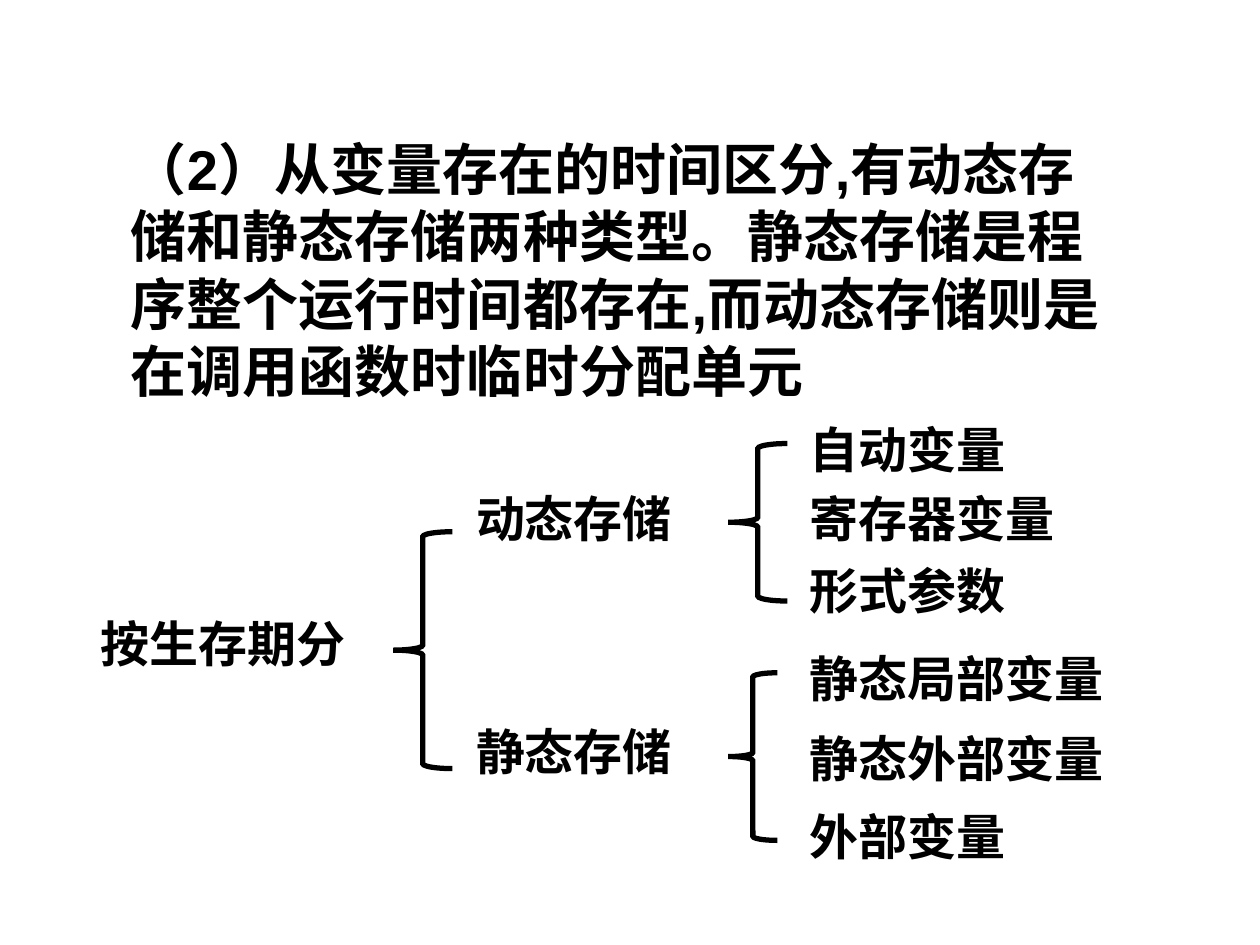
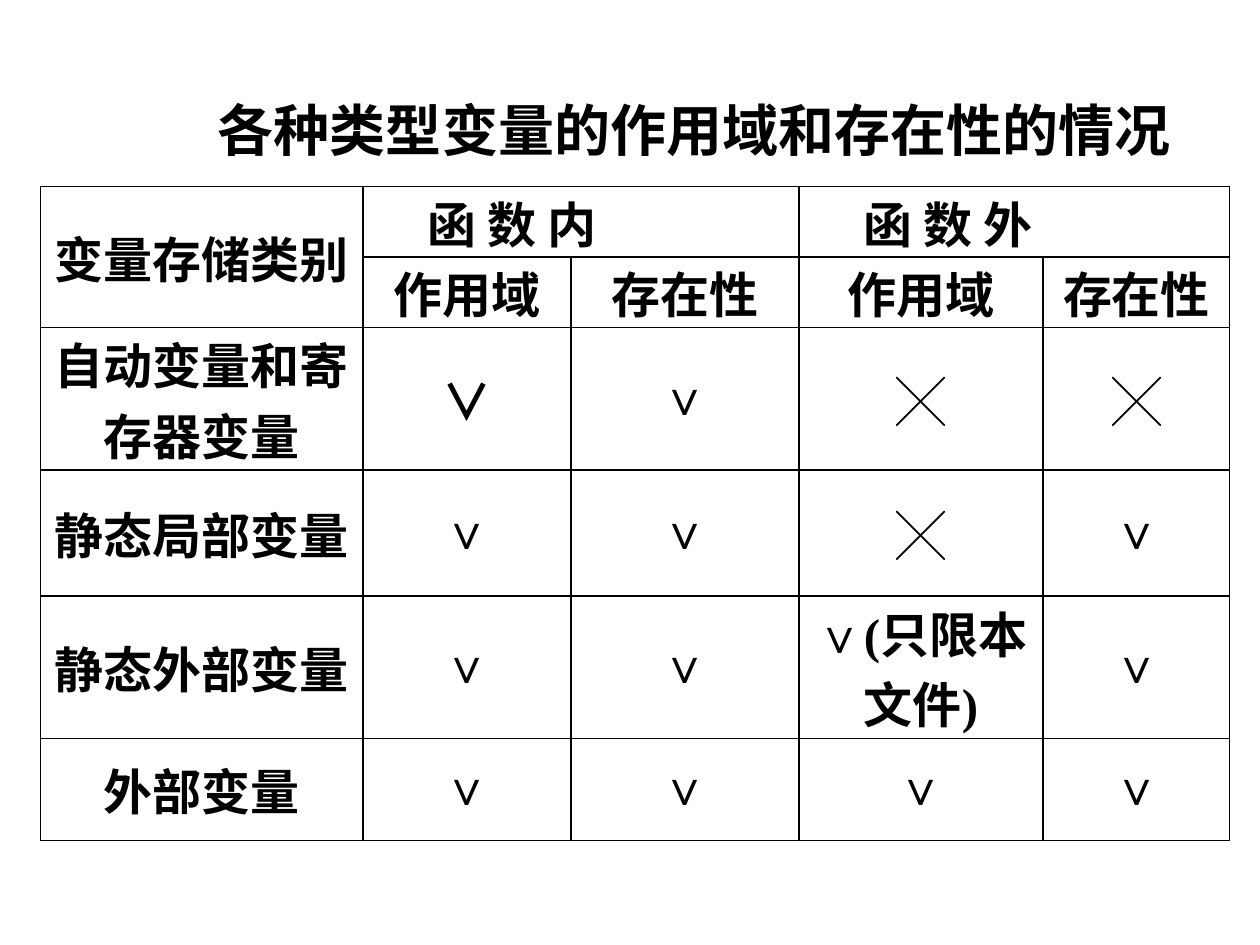
from lxml import etree
from pptx import Presentation
from pptx.dml.color import RGBColor
from pptx.enum.shapes import MSO_SHAPE
from pptx.enum.text import MSO_ANCHOR, PP_ALIGN
from pptx.oxml.ns import qn
from pptx.util import Inches, Pt

COLORS = {"ink": "000000", "paper": "FFFFFF"}
LATIN, SONG, ROMAN = "Arial", "Noto Sans CJK SC", "Times New Roman"
HEADING_SIZE, BODY_SIZE = 32, 28
LEFT_BRACE = MSO_SHAPE.LEFT_BRACE
TOP, MIDDLE = MSO_ANCHOR.TOP, MSO_ANCHOR.MIDDLE
CENTER, JUSTIFY = PP_ALIGN.CENTER, PP_ALIGN.JUSTIFY
YES, NO = "∨", "╳"

LIFETIME_LABELS = [
    ("按生存期分", 0.7, 4.82, 2.42),
    ("动态存储", 3.68, 3.83, 1.95),
    ("静态存储", 3.68, 5.68, 1.95),
    ("自动变量", 6.33, 3.28, 1.95),
    ("寄存器变量", 6.33, 3.83, 2.66),
    ("形式参数", 6.33, 4.4, 2.19),
    ("静态局部变量", 6.33, 5.1, 2.66),
    ("静态外部变量", 6.33, 5.73, 2.66),
    ("外部变量", 6.33, 6.35, 2.66),
]
BRACES = [
    (3.12, 4.22, 0.47, 1.88),
    (5.78, 3.52, 0.47, 1.25),
    (5.78, 5.34, 0.39, 1.33),
]
COLUMN_WIDTHS = [2.56, 1.65, 1.81, 1.94, 1.48]
ROW_HEIGHTS = [0.56, 0.56, 1.13, 1, 1.13, 0.81]
HEADER_ROWS = 2
SCOPE_ROWS = [
    ["变量存储类别", "函 数 内", "", "函 数 外", ""],
    ["", "作用域", "存在性", "作用域", "存在性"],
    ["自动变量和寄存器变量", YES, YES, NO, NO],
    ["静态局部变量", YES, YES, NO, YES],
    ["静态外部变量", YES, YES, "∨(只限本文件)", YES],
    ["外部变量", YES, YES, YES, YES],
]
MERGES = [((0, 0), (1, 0)), ((0, 1), (0, 2)), ((0, 3), (0, 4))]


def color(name):
    return RGBColor.from_string(COLORS[name])


def style_paragraph(para, size, latin, east_asian, indent=0):
    font = para.font
    font.size, font.bold, font.name = Pt(size), True, latin
    font.color.rgb = color("ink")
    etree.SubElement(font._element, qn("a:ea"), typeface=east_asian)
    if indent:
        para._p.get_or_add_pPr().set("indent", str(Inches(indent)))


def add_text(page, text, left, top, width, height=0.57, size=BODY_SIZE,
             indent=0, side_margin=0.1, anchor=TOP):
    box = page.shapes.add_textbox(*map(Inches, (left, top, width, height)))
    frame = box.text_frame
    frame.word_wrap = True
    frame.vertical_anchor = anchor
    frame.margin_left = frame.margin_right = Inches(side_margin)
    frame.text = text
    style_paragraph(frame.paragraphs[0], size, LATIN, LATIN, indent)


def add_brace(page, left, top, width, height):
    brace = page.shapes.add_shape(
        LEFT_BRACE, *map(Inches, (left, top, width, height)))
    brace.shadow.inherit = False
    brace.fill.solid()
    brace.fill.fore_color.rgb = color("paper")
    brace.line.color.rgb = color("ink")
    brace.line.width = Pt(3)
    etree.SubElement(brace.line._get_or_add_ln(), qn("a:miter"), lim="800000")


def add_borders(cell):
    properties = cell._tc.get_or_add_tcPr()
    for position, side in enumerate("LRTB"):
        line = etree.Element(qn(f"a:ln{side}"), w=str(Pt(1)))
        fill = etree.SubElement(line, qn("a:solidFill"))
        etree.SubElement(fill, qn("a:srgbClr"), val=COLORS["ink"])
        properties.insert(position, line)


def cell_face(text, row, column):
    """Ticks are set in the roman face, apart from the first one."""
    first_tick = (row, column) == (HEADER_ROWS, 1)
    return ROMAN if text.startswith(YES) and not first_tick else SONG


def fill_cell(cell, text, row, column):
    cell.fill.background()
    add_borders(cell)
    cell.margin_left = cell.margin_right = Inches(0.07)
    cell.margin_top = cell.margin_bottom = 0
    top_aligned = (row < HEADER_ROWS and column) or (row, column) == (HEADER_ROWS, 0)
    cell.vertical_anchor = TOP if top_aligned else MIDDLE
    cell.text = text
    para = cell.text_frame.paragraphs[0]
    group_header = row == 0 and column > 0
    para.alignment = JUSTIFY if group_header else CENTER
    style_paragraph(para, BODY_SIZE, cell_face(text, row, column), SONG,
                    0.44 if group_header else 0)


def add_scope_table(page, left, top):
    table = page.shapes.add_table(
        len(ROW_HEIGHTS), len(COLUMN_WIDTHS), Inches(left), Inches(top),
        Inches(sum(COLUMN_WIDTHS)), Inches(sum(ROW_HEIGHTS))).table
    table.first_row = table.horz_banding = False
    for column, width in zip(table.columns, COLUMN_WIDTHS):
        column.width = Inches(width)
    for row, height in zip(table.rows, ROW_HEIGHTS):
        row.height = Inches(height)
    for row, texts in enumerate(SCOPE_ROWS):
        for column, text in enumerate(texts):
            fill_cell(table.cell(row, column), text, row, column)
    for first, last in MERGES:
        table.cell(*first).merge(table.cell(*last))


def add_page(deck):
    page = deck.slides.add_slide(deck.slide_layouts[6])
    page.background.fill.solid()
    page.background.fill.fore_color.rgb = color("paper")
    return page


def build_lifetime_page(deck):
    page = add_page(deck)
    add_text(page, "（2）从变量存在的时间区分,有动态存储和静态存储两种类型。"
             "静态存储是程序整个运行时间都存在,而动态存储则是在调用函数时临时分配单元",
             0.94, 1.02, 8.05, 2.26, HEADING_SIZE)
    for brace in BRACES:
        add_brace(page, *brace)
    for label in LIFETIME_LABELS:
        add_text(page, *label)


def build_scope_page(deck):
    page = add_page(deck)
    add_scope_table(page, 0.32, 1.48)
    add_text(page, "各种类型变量的作用域和存在性的情况", 0.71, 0.71, 8.75, 0.63,
             HEADING_SIZE, indent=1.02, side_margin=0, anchor=MIDDLE)


def main():
    deck = Presentation()
    deck.slide_width, deck.slide_height = Inches(10), Inches(7.5)
    build_lifetime_page(deck)
    build_scope_page(deck)
    deck.save("out.pptx")


if __name__ == "__main__":
    main()
